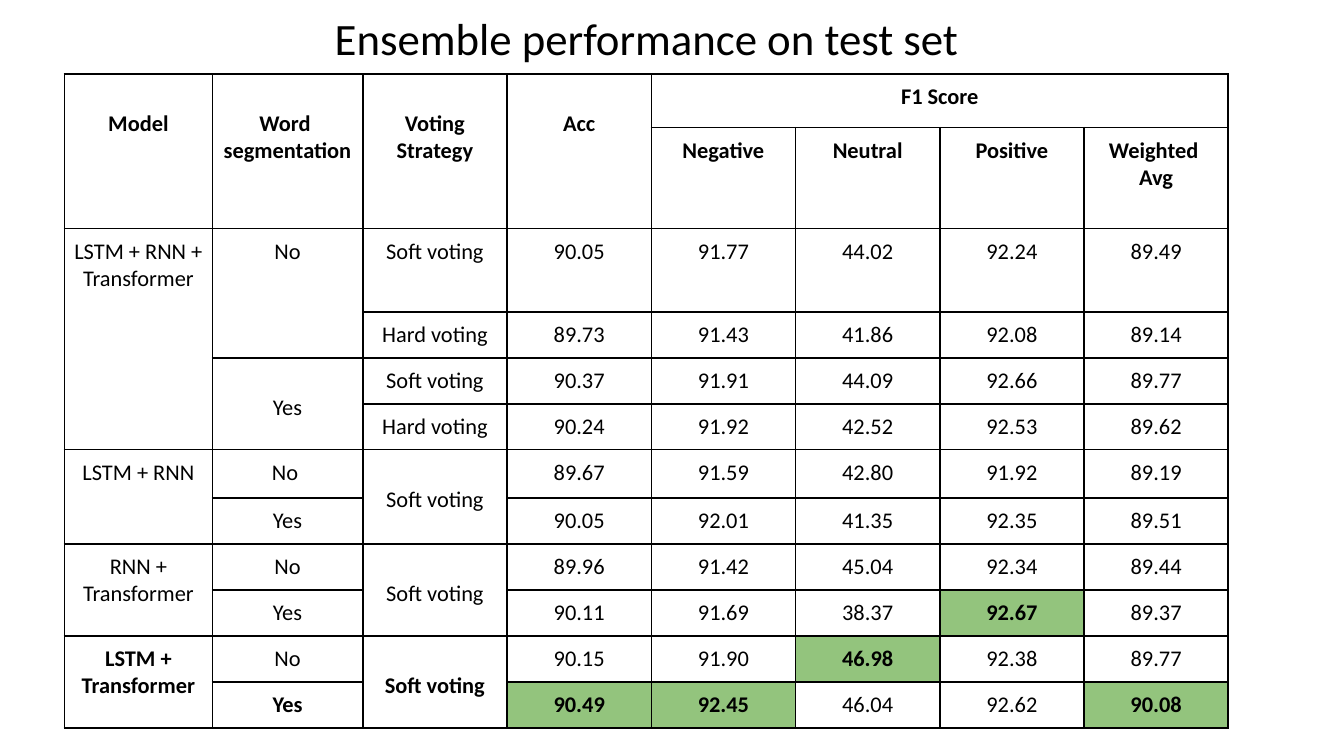
import pptx
import pptx.dml.color
import pptx.enum.text
import pptx.oxml
import pptx.oxml.ns
import pptx.util
from pptx.util import Inches

COLORS = {"text": "000000", "border": "000000", "best": "93C47D"}
FONT = "Calibri"
TABLE_WIDTH, TABLE_HEIGHT = 8.66, 4.87
MODEL_WIDTH, SEGMENTATION_WIDTH = 1.1, 1.12
OTHER_WIDTH = (TABLE_WIDTH - MODEL_WIDTH - SEGMENTATION_WIDTH) / 6
COLUMN_WIDTHS = [MODEL_WIDTH, SEGMENTATION_WIDTH] + [OTHER_WIDTH] * 6
TALL_ROWS = {0: 0.4, 1: 0.75, 2: 0.62, 6: 0.36}
PLAIN_ROW = (TABLE_HEIGHT - sum(TALL_ROWS.values())) / 8
ROW_HEIGHTS = [TALL_ROWS.get(row, PLAIN_ROW) for row in range(12)]
PADDING = 0.07
LINE_HEIGHT = 0.2
HEADER_ROWS = 2

# None marks a cell covered by a merged one.
RESULTS = [
    ["Model", "Word \nsegmentation", "Voting\nStrategy", "Acc", "F1 Score", None, None, None],
    [None, None, None, None, "Negative", "Neutral", "Positive", "Weighted \nAvg"],
    ["LSTM + RNN + Transformer", "No", "Soft voting", "90.05", "91.77", "44.02", "92.24", "89.49"],
    [None, None, "Hard voting", "89.73", "91.43", "41.86", "92.08", "89.14"],
    [None, "Yes", "Soft voting", "90.37", "91.91", "44.09", "92.66", "89.77"],
    [None, None, "Hard voting", "90.24", "91.92", "42.52", "92.53", "89.62"],
    ["LSTM + RNN", "No ", "Soft voting", "89.67", "91.59", "42.80", "91.92", "89.19"],
    [None, "Yes", None, "90.05", "92.01", "41.35", "92.35", "89.51"],
    ["RNN + Transformer", "No", "Soft voting", "89.96", "91.42", "45.04", "92.34", "89.44"],
    [None, "Yes", None, "90.11", "91.69", "38.37", "92.67", "89.37"],
    ["LSTM + Transformer", "No", "Soft voting", "90.15", "91.90", "46.98", "92.38", "89.77"],
    [None, "Yes", None, "90.49", "92.45", "46.04", "92.62", "90.08"],
]

# (row, column): (rows spanned, columns spanned)
LOWERED_MERGES = {(0, column): (2, 1) for column in range(4)}
LOWERED_MERGES.update({(4, 1): (2, 1), (6, 2): (2, 1), (8, 2): (2, 1), (10, 2): (2, 1)})
MERGES = {(0, 4): (1, 4), (2, 0): (4, 1), (2, 1): (2, 1),
          (6, 0): (2, 1), (8, 0): (2, 1), (10, 0): (2, 1), **LOWERED_MERGES}

BEST_SCORES = {(9, 6), (10, 5), (11, 3), (11, 4), (11, 7)}
BEST_MODEL = {(10, 0), (10, 2), (11, 1)}


def rgb(name):
    return pptx.dml.color.RGBColor.from_string(COLORS[name])


def write_text(frame, text, size, bold=False, line_spacing=None):
    """Write centred text, one paragraph per line."""
    font_format = {"name": FONT, "size": pptx.util.Pt(size), "bold": bold}
    for index, line in enumerate(text.split("\n")):
        paragraph = frame.paragraphs[0] if index == 0 else frame.add_paragraph()
        paragraph.alignment = pptx.enum.text.PP_ALIGN.CENTER
        paragraph.line_spacing = line_spacing
        run = paragraph.add_run()
        run.text = line
        for attribute, value in font_format.items():
            setattr(run.font, attribute, value)
        run.font.color.rgb = rgb("text")


def set_margins(target, left, top, right, bottom):
    margins = {"left": left, "top": top, "right": right, "bottom": bottom}
    for side, inset in margins.items():
        setattr(target, f"margin_{side}", Inches(inset))


def draw_borders(cell):
    properties = cell._tc.get_or_add_tcPr()
    for index, side in enumerate(("lnL", "lnR", "lnT", "lnB")):
        border = pptx.oxml.parse_xml(
            f'<a:{side} {pptx.oxml.ns.nsdecls("a")} w="{pptx.util.Pt(1)}">'
            f'<a:solidFill><a:srgbClr val="{COLORS["border"]}"/></a:solidFill>'
            f'</a:{side}>')
        properties.insert(index, border)


def add_title(slide, text):
    title = slide.shapes.add_textbox(Inches(0.5), Inches(0.06), Inches(8.62), Inches(0.49))
    frame = title.text_frame
    frame.word_wrap = True
    frame.vertical_anchor = pptx.enum.text.MSO_ANCHOR.MIDDLE
    set_margins(frame, 0.07, 0.04, 0.07, 0.04)
    write_text(frame, text, 24, line_spacing=0.9)


def format_cell(cell, position, text):
    if position in BEST_SCORES:
        cell.fill.solid()
        cell.fill.fore_color.rgb = rgb("best")
    else:
        cell.fill.background()
    draw_borders(cell)
    top = PADDING + (LINE_HEIGHT if position in LOWERED_MERGES else 0)
    set_margins(cell, PADDING, top, PADDING, PADDING)
    if text is not None:
        bold = position[0] < HEADER_ROWS or position in BEST_SCORES | BEST_MODEL
        write_text(cell.text_frame, text, 12, bold)


def add_results_table(slide):
    table = slide.shapes.add_table(
        len(ROW_HEIGHTS), len(COLUMN_WIDTHS), Inches(0.48), Inches(0.55),
        Inches(TABLE_WIDTH), Inches(TABLE_HEIGHT)).table
    table.first_row = table.horz_banding = False
    for column, width in zip(table.columns, COLUMN_WIDTHS):
        column.width = Inches(width)
    for row, height in zip(table.rows, ROW_HEIGHTS):
        row.height = Inches(height)
    for (row, column), (rows, columns) in MERGES.items():
        table.cell(row, column).merge(table.cell(row + rows - 1, column + columns - 1))
    for row, texts in enumerate(RESULTS):
        for column, text in enumerate(texts):
            format_cell(table.cell(row, column), (row, column), text)


def main():
    presentation = pptx.Presentation()
    presentation.slide_width = Inches(10)
    presentation.slide_height = Inches(10) * 9 // 16
    slide = presentation.slides.add_slide(presentation.slide_layouts[6])
    add_title(slide, "Ensemble performance on test set")
    add_results_table(slide)
    presentation.save("out.pptx")


if __name__ == "__main__":
    main()
